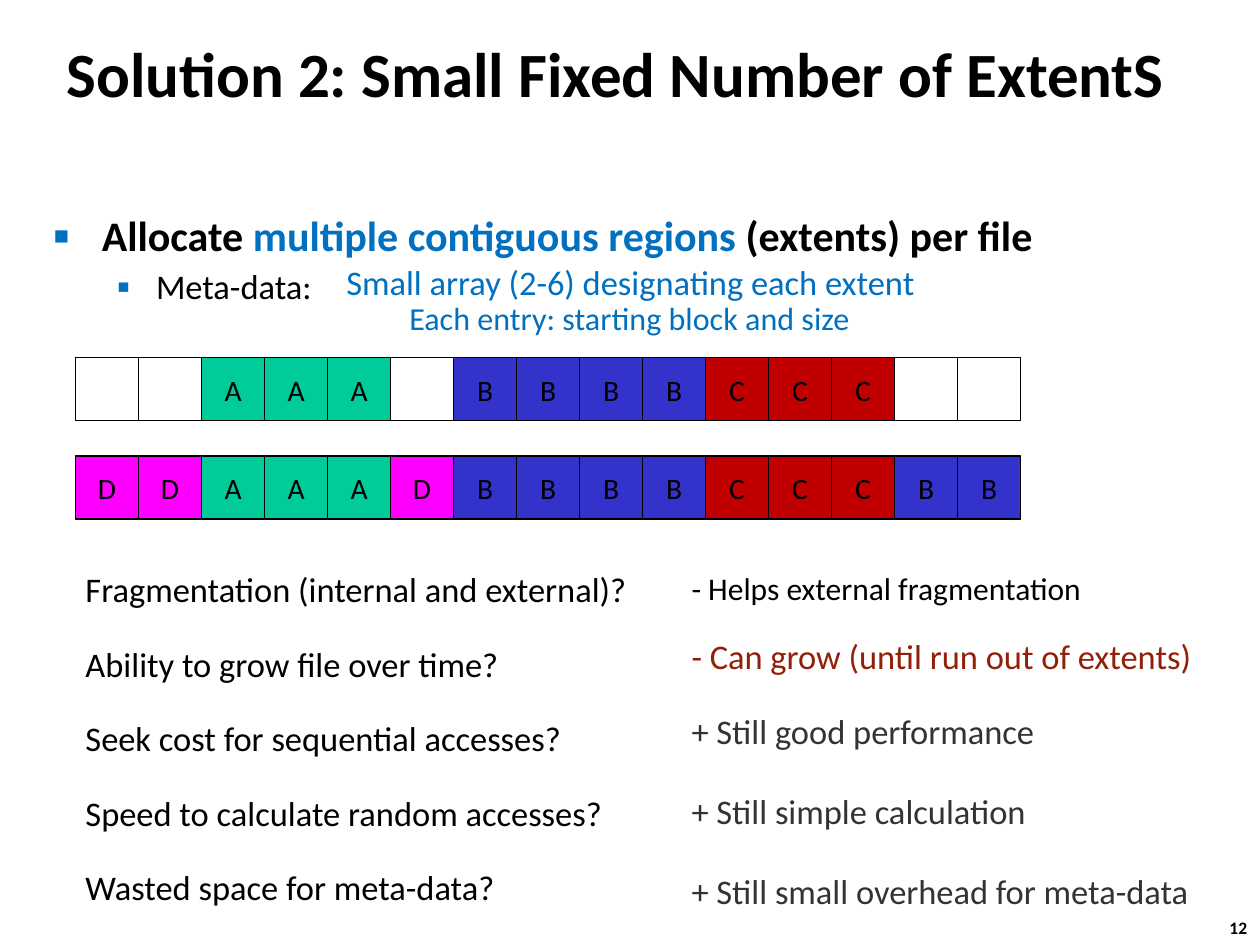
from lxml import etree
from pptx import Presentation
from pptx.dml.color import RGBColor
from pptx.enum.shapes import MSO_SHAPE
from pptx.enum.text import MSO_ANCHOR, PP_ALIGN
from pptx.oxml.ns import qn
from pptx.util import Inches, Pt

RECT = MSO_SHAPE.RECTANGLE
MIDDLE = MSO_ANCHOR.MIDDLE
CENTER = PP_ALIGN.CENTER

THEME = {
    "font": "Calibri",
    "black": "000000",
    "blue": "0070C0",
    "grey": "333333",
    "rust": "921F07",
    "title": 36,
    "head": 24,
    "text": 19.7,
    "entry": 18.3,
    "note": 18,
    "cell": 16.9,
    "page": 10,
}
FILLS = {" ": "FFFFFF", "A": "00CC99", "B": "3333CC", "C": "C00000", "D": "FF00FF"}

TITLE = "Solution 2: Small Fixed Number of ExtentS"
PAGE = "12"
POINT = [
    ("Allocate ", "black"),
    ("multiple contiguous regions ", "blue"),
    ("(extents) per file", "black"),
]
META = "Meta-data:"
ARRAY = "Small array (2-6) designating each extent"
ENTRY = "Each entry: starting block and size"
ROWS = [(2.84, "  AAA BBBBCCC  "), (3.62, "DDAAADBBBBCCCBB")]
ASKS = [
    "Fragmentation (internal and external)?",
    "Ability to grow file over time?",
    "Seek cost for sequential accesses?",
    "Speed to calculate random accesses?",
    "Wasted space for meta-data?",
]
REPLIES = [
    (4.5, "- Helps external fragmentation", "note", "black", 0),
    (5.03, "- Can grow (until run out of extents)", "text", "rust", 1),
    (5.62, "+ Still good performance", "text", "grey", 1),
    (6.26, "+ Still simple calculation", "text", "grey", 1),
    (6.89, "+ Still small overhead for meta-data", "text", "grey", 1),
]
CELL = 0.5
LEFT = 0.6


def color(name):
    return RGBColor.from_string(THEME[name])


def add_box(slide, left, top, width, height, wrap=True):
    box = slide.shapes.add_textbox(*map(Inches, (left, top, width, height)))
    box.text_frame.word_wrap = wrap
    return box.text_frame


def add_bullet(para, mark, scale):
    props = para._p.get_or_add_pPr()
    tint = etree.SubElement(props, qn("a:buClr"))
    etree.SubElement(tint, qn("a:srgbClr"), val=THEME["blue"])
    etree.SubElement(props, qn("a:buSzPct"), val=str(scale * 1000))
    etree.SubElement(props, qn("a:buFont"), typeface="Arial")
    etree.SubElement(props, qn("a:buChar"), char=mark)


def add_para(frame, runs, size, tint="black", bold=False, level=0,
             margin=0, indent=0, before=0, spacing=0.9, bullet=None):
    first = not frame.paragraphs[0].runs
    para = frame.paragraphs[0] if first else frame.add_paragraph()
    para.level = level
    para.line_spacing = spacing
    if not first:
        para.space_before = Pt(before)
    props = para._p.get_or_add_pPr()
    props.set("marL", str(Inches(margin)))
    props.set("indent", str(Inches(indent)))
    if bullet:
        add_bullet(para, *bullet)
    para.font.name = THEME["font"]
    para.font.size = Pt(THEME[size])
    para.font.bold = bold
    if isinstance(runs, str):
        para.font.color.rgb = color(tint)
        para.add_run().text = runs
    else:
        for text, shade in runs:
            run = para.add_run()
            run.text = text
            run.font.color.rgb = color(shade)
    return para


def add_row(slide, top, blocks):
    group = slide.shapes.add_group_shape()
    for col, name in enumerate(blocks):
        cell = group.shapes.add_shape(
            RECT, Inches(LEFT + col * CELL), Inches(top), Inches(CELL), Inches(CELL))
        cell.shadow.inherit = False
        cell.fill.solid()
        cell.fill.fore_color.rgb = RGBColor.from_string(FILLS[name])
        cell.line.color.rgb = color("black")
        cell.line.width = Pt(0.75)
        if name != " ":
            frame = cell.text_frame
            frame.word_wrap = False
            frame.vertical_anchor = MIDDLE
            add_para(frame, name, "cell", spacing=1.0).alignment = CENTER


def main():
    deck = Presentation()
    deck.slide_width, deck.slide_height = Inches(10), Inches(7.5)
    slide = deck.slides.add_slide(deck.slide_layouts[6])

    add_para(add_box(slide, 9.66, 7.23, 0.37, 0.27, False), PAGE, "page",
             bold=True, spacing=1.0)

    title = add_box(slide, 0.43, 0.16, 9.25, 0.83)
    title.vertical_anchor = MIDDLE
    add_para(title, TITLE, "title", bold=True, margin=0.13, indent=-0.13, spacing=1.0)

    body = add_box(slide, 0.33, 1.66, 9.25, 1.08)
    add_para(body, POINT, "head", bold=True, margin=0.38, indent=-0.38,
             bullet=("■", 60))
    add_para(body, META, "text", level=1, margin=0.81, indent=-0.31, before=5,
             bullet=("▪", 110))

    for top, blocks in ROWS:
        add_row(slide, top, blocks)

    asks = add_box(slide, 0.08, 4.5, 5.25, 2.79)
    for ask in ASKS:
        add_para(asks, ask, "text", level=1, margin=0.5, before=21.3)

    for top, reply, size, tint, level in REPLIES:
        add_para(add_box(slide, 4.89, top, 5, 0.4), reply, size, tint,
                 level=level, margin=0.81, indent=-0.31)

    array = add_box(slide, 2.15, 2.06, 6.36, 0.68)
    add_para(array, ARRAY, "text", "blue", level=1, margin=0.5)
    add_para(array, ENTRY, "entry", "blue", level=2, margin=1)

    deck.save("out.pptx")


if __name__ == "__main__":
    main()
